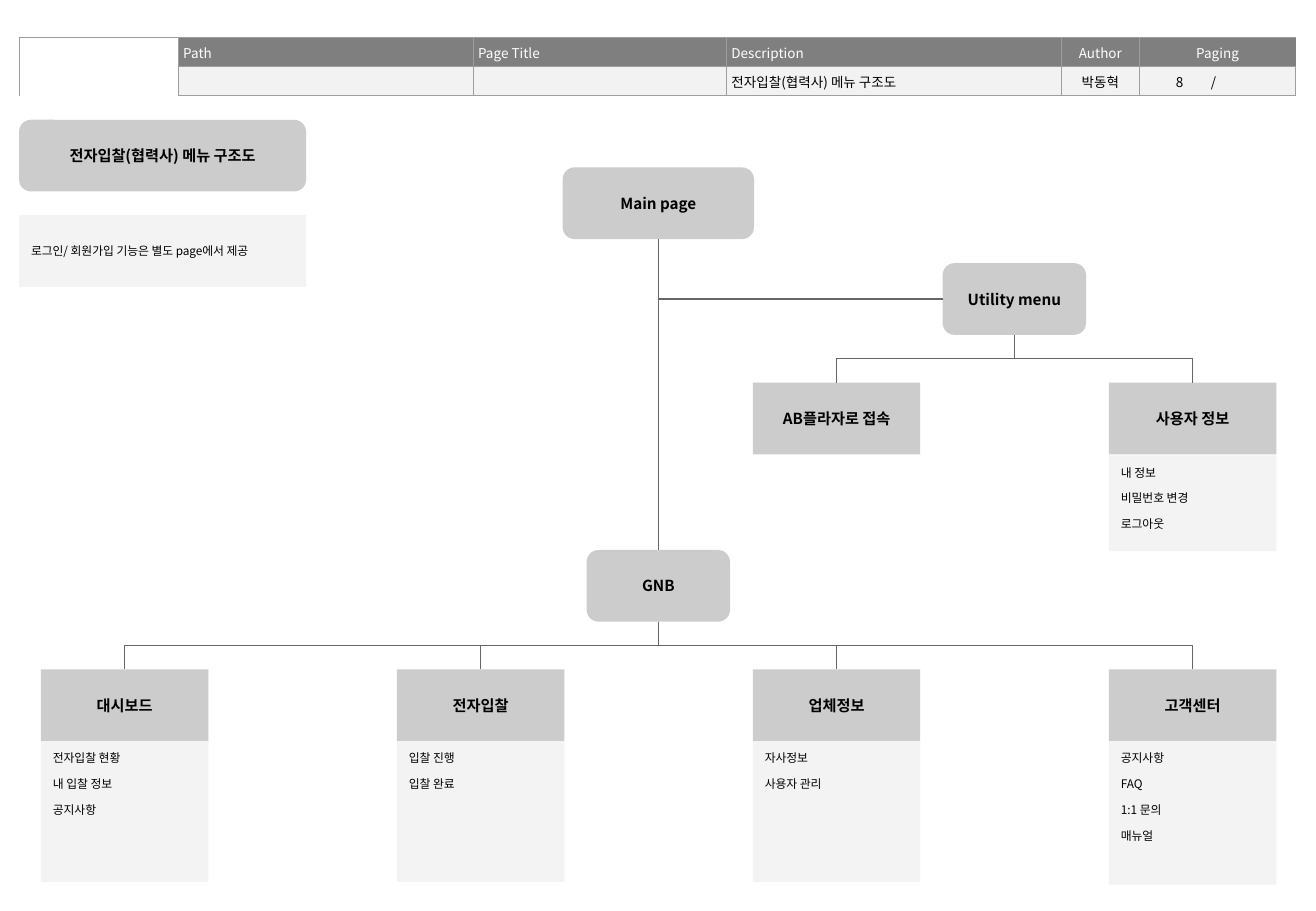
"""Builds the partner menu structure slide."""
import lxml.etree
import pptx
import pptx.dml.color
import pptx.enum.shapes
import pptx.enum.text
import pptx.oxml.ns
import pptx.util

Pt = pptx.util.Pt
RGBColor = pptx.dml.color.RGBColor
SHAPE = pptx.enum.shapes.MSO_SHAPE
CONNECTOR = pptx.enum.shapes.MSO_CONNECTOR
ALIGN = pptx.enum.text.PP_ALIGN
ANCHOR = pptx.enum.text.MSO_ANCHOR
qn = pptx.oxml.ns.qn

BLACK = RGBColor(0x00, 0x00, 0x00)
WHITE = RGBColor(0xFF, 0xFF, 0xFF)
HEADER = RGBColor(0x7F, 0x7F, 0x7F)
ROW = RGBColor(0xF2, 0xF2, 0xF2)
BORDER = RGBColor(0x9E, 0x9E, 0x9E)
CARD = RGBColor(0xCC, 0xCC, 0xCC)
PANEL = RGBColor(0xF3, 0xF3, 0xF3)
LINE = RGBColor(0x66, 0x66, 0x66)

FONT = "Noto Sans CJK KR"
TITLE = "전자입찰(협력사) 메뉴 구조도"
LEFT, SIDE_W = 11.3, 170.1
CARD_H, CARD_W = 42.5, 99.2
COL_X, COL_STEP = 24.3, 211
CENTER = 390.2
MENU_Y, UTILITY_Y = 396.8, 226.8

COLUMNS = [94.5, 174.8, 150.2, 198.4, 46.2, 28.8, 30.2, 33.8]
ROW_H = 17.28
CELLS = [["", "Path", "Page Title", "Description", "Author", "Paging", "", ""],
         ["", "", "", TITLE, "박동혁", "8", "/", ""]]
CELL_ALIGN = {(0, 4): ALIGN.CENTER, (0, 5): ALIGN.CENTER, (1, 4): ALIGN.CENTER,
              (1, 5): ALIGN.RIGHT, (1, 6): ALIGN.CENTER}
MENUS = [("대시보드", ["전자입찰 현황", "내 입찰 정보", "공지사항"], 83.5),
         ("전자입찰", ["입찰 진행", "입찰 완료"], 83.5),
         ("업체정보", ["자사정보", "사용자 관리"], 83.5),
         ("고객센터", ["공지사항", "FAQ", "1:1 문의", "매뉴얼"], 85)]


def write(tf, lines, size=7, color=BLACK, bold=False, align=ALIGN.LEFT,
          anchor=ANCHOR.MIDDLE, inset=7.2, spacing=None, gap=0):
    tf.word_wrap = True
    tf.vertical_anchor = anchor
    tf.margin_left = tf.margin_right = tf.margin_top = tf.margin_bottom = Pt(inset)
    for i, line in enumerate(lines):
        p = tf.add_paragraph() if i else tf.paragraphs[0]
        p.alignment = align
        p.space_before = Pt(gap if i else 0)
        if spacing:
            p.line_spacing = spacing
        r = p.add_run()
        r.text = line
        r.font.size = Pt(size)
        r.font.bold = bold
        r.font.color.rgb = color
        r.font.name = FONT
        ea = lxml.etree.SubElement(r.font._element, qn("a:ea"))
        ea.set("typeface", FONT)


class Sitemap:
    def __init__(self, prs):
        self.slide = prs.slides.add_slide(prs.slide_layouts[5])
        self.shapes = self.slide.shapes

    def box(self, x, y, w, h, fill, rounded=False):
        kind = SHAPE.ROUNDED_RECTANGLE if rounded else SHAPE.RECTANGLE
        sp = self.shapes.add_shape(kind, Pt(x), Pt(y), Pt(w), Pt(h))
        sp.shadow.inherit = False
        sp.fill.solid()
        sp.fill.fore_color.rgb = fill
        sp.line.fill.background()
        return sp

    def card(self, text, x, y, w=CARD_W, rounded=False):
        sp = self.box(x, y, w, CARD_H, CARD, rounded)
        write(sp.text_frame, [text], size=9, bold=True, align=ALIGN.CENTER)
        return sp

    def panel(self, items, x, y, h):
        sp = self.box(x, y, CARD_W, h, PANEL)
        write(sp.text_frame, items, anchor=ANCHOR.TOP, spacing=0.83, gap=8.4)

    def title(self, text, x, y, w):
        self.box(x, y, w, CARD_H, CARD, rounded=True)
        sp = self.shapes.title
        self.shapes._spTree.append(sp._element)
        sp.left, sp.top, sp.width, sp.height = Pt(x), Pt(y), Pt(w), Pt(CARD_H)
        sp.text_frame.auto_size = pptx.enum.text.MSO_AUTO_SIZE.NONE
        write(sp.text_frame, [text], size=9, bold=True, align=ALIGN.CENTER)

    def connector(self, kind, x1, y1, x2, y2):
        c = self.shapes.add_connector(kind, x1, y1, x2, y2)
        c.line.color.rgb = LINE
        c.line.width = Pt(0.75)
        lxml.etree.SubElement(c._element.spPr, qn("a:effectLst"))
        return c

    def branch(self, parent, child):
        c = self.connector(CONNECTOR.ELBOW, 0, 0, 0, 0)
        c.begin_connect(parent, 2)
        c.end_connect(child, 0)
        x1, y1, x2, y2 = c.begin_x, c.begin_y, c.end_x, c.end_y
        drop, reach = y2 - y1, abs(x2 - x1)
        c.left, c.top = (x1 + x2 - drop) // 2, (y1 + y2 - reach) // 2
        c.width, c.height = drop, reach
        xfrm = c._element.spPr.find(qn("a:xfrm"))
        xfrm.set("rot", "5400000")
        xfrm.set("flipH", "0")
        xfrm.set("flipV", "1" if x2 > x1 else "0")

    def border(self, cell, side, shown):
        ln = lxml.etree.SubElement(cell._tc.get_or_add_tcPr(), qn("a:ln" + side))
        ln.set("w", str(Pt(0.75)))
        if shown:
            fill = lxml.etree.SubElement(ln, qn("a:solidFill"))
            lxml.etree.SubElement(fill, qn("a:srgbClr")).set("val", str(BORDER))
        else:
            lxml.etree.SubElement(ln, qn("a:noFill"))

    def header(self, x, y):
        frame = self.shapes.add_table(2, len(COLUMNS), Pt(x), Pt(y),
                                      Pt(sum(COLUMNS)), Pt(2 * ROW_H))
        table = frame.table
        table.first_row = table.horz_banding = False
        for col, w in zip(table.columns, COLUMNS):
            col.width = Pt(w)
        for i, row in enumerate(CELLS):
            table.rows[i].height = Pt(ROW_H)
            for j, text in enumerate(row):
                cell = table.cell(i, j)
                shown = {"L": j not in (6, 7), "R": j not in (5, 6),
                         "T": j > 0 or i == 0, "B": j > 0 or i == 1}
                for side in "LRTB":
                    self.border(cell, side, shown[side])
                if j:
                    cell.fill.solid()
                    cell.fill.fore_color.rgb = ROW if i else HEADER
                else:
                    cell.fill.background()
                cell.vertical_anchor = ANCHOR.MIDDLE
                cell.margin_top = cell.margin_bottom = Pt(2.8)
                cell.margin_left = cell.margin_right = Pt(1.4 if (i, j) == (1, 6) else 2.8)
                if text:
                    write(cell.text_frame, [text], size=8, color=BLACK if i else WHITE,
                          align=CELL_ALIGN.get((i, j), ALIGN.LEFT), inset=2.8)
                else:
                    cell.text_frame.paragraphs[0].font.size = Pt(8)
        table.cell(0, 0).merge(table.cell(1, 0))
        table.cell(0, 5).merge(table.cell(0, 7))


def main():
    prs = pptx.Presentation()
    prs.slide_width, prs.slide_height = Pt(780), Pt(540)
    s = Sitemap(prs)
    s.header(LEFT, 22.3)
    s.title(TITLE, LEFT, 71, SIDE_W)
    note = s.box(LEFT, 127.6, SIDE_W, CARD_H, PANEL)
    write(note.text_frame, ["로그인/ 회원가입 기능은 별도 page에서 제공"])

    main_page = s.card("Main page", CENTER - 56.7, 99.2, 113.4, rounded=True)
    gnb = s.card("GNB", CENTER - 42.5, 326, 85, rounded=True)
    utility = s.card("Utility menu", 558.7, 156, 85, rounded=True)

    trunk = s.connector(CONNECTOR.STRAIGHT, 0, 0, 0, 0)
    trunk.begin_connect(main_page, 2)
    trunk.end_connect(gnb, 0)
    y = Pt(156 + CARD_H / 2)
    link = s.connector(CONNECTOR.STRAIGHT, Pt(CENTER), y, utility.left, y)
    link.end_connect(utility, 1)

    for i, (name, items, h) in enumerate(MENUS):
        x = COL_X + i * COL_STEP
        s.branch(gnb, s.card(name, x, MENU_Y))
        s.panel(items, x, MENU_Y + CARD_H, h)
    for i, name in ((2, "AB플라자로 접속"), (3, "사용자 정보")):
        s.branch(utility, s.card(name, COL_X + i * COL_STEP, UTILITY_Y))
    s.panel(["내 정보", "비밀번호 변경", "로그아웃"], COL_X + 3 * COL_STEP, 270, 56.7)
    prs.save("out.pptx")


if __name__ == "__main__":
    main()
